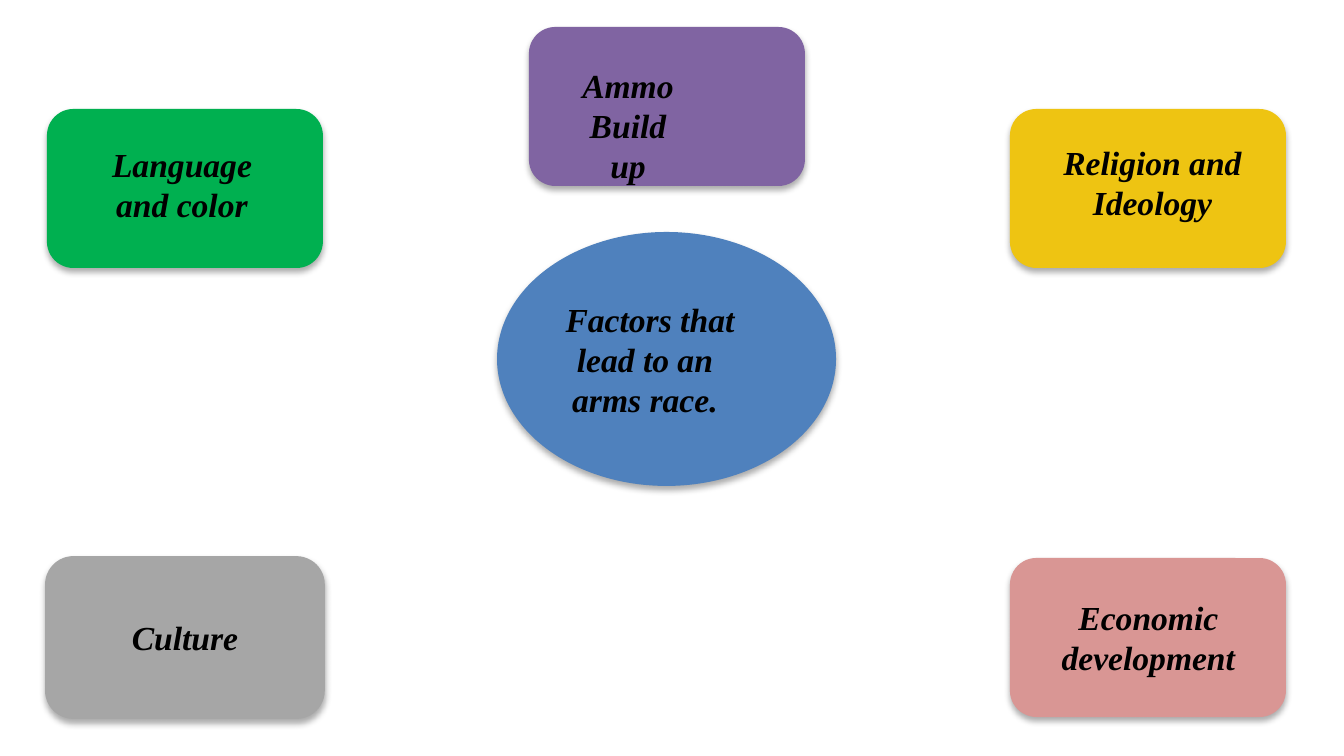
from lxml.etree import SubElement
from pptx import Presentation
from pptx.dml.color import RGBColor
from pptx.enum.shapes import MSO_SHAPE as Shape
from pptx.enum.text import MSO_AUTO_SIZE as AutoSize, PP_ALIGN as Align
from pptx.oxml.ns import qn
from pptx.util import Pt

PX = 914400 / 134.4  # EMU per px
SLIDE_SIZE = (1344, 756)
FONT = "Times New Roman"

# Grid of the surrounding factors
BOX_W, BOX_H = 276, 159
LEFT, MIDDLE, RIGHT = 47, 529, 1010
TOP, UPPER, LOWER = 27, 109, 558

# Shape, area, fill, outline, label area, label lines with right indent
FACTORS = [
    (Shape.OVAL, (497, 232, 339, 254), "4F81BD", None, (550, 292, 232, 136),
     [("Factors that", 32), ("lead to an", 42), ("arms race.", 0)]),
    (Shape.ROUNDED_RECTANGLE, (RIGHT, UPPER, BOX_W, BOX_H), "EEC412", None,
     (1047, 135, 211, 95), [("Religion and Ideology", 0)]),
    (Shape.ROUNDED_RECTANGLE, (MIDDLE, TOP, BOX_W, BOX_H), "8064A2", None,
     (558, 58, 216, 95), [("Ammo", 76), ("Build up", 0)]),
    (Shape.ROUNDED_RECTANGLE, (LEFT, UPPER, BOX_W, BOX_H), "00B050", None,
     (88, 137, 188, 95), [("Language and color", 0)]),
    (Shape.ROUNDED_RECTANGLE, (LEFT, LOWER, BOX_W, BOX_H), "A6A6A6", "A6A6A6",
     (84, 610, 202, 54), [("Culture", 0)]),
    (Shape.ROUNDED_RECTANGLE, (RIGHT, LOWER, BOX_W, BOX_H), "D99694", None,
     (1047, 590, 211, 95), [("Economic", 8), ("development", 0)]),
]


def emu(*lengths):
    return [round(length * PX) for length in lengths]


def color(value):
    return RGBColor.from_string(value)


def add_shadow(shape):
    shape.shadow.inherit = False
    effects = shape._element.spPr.find(qn("a:effectLst"))
    shadow = SubElement(effects, qn("a:outerShdw"), blurRad=str(Pt(3.5)),
                        dist=str(Pt(2.2)), dir="5400000", rotWithShape="0")
    black = SubElement(shadow, qn("a:srgbClr"), val="000000")
    SubElement(black, qn("a:alpha"), val="32000")


def add_factor(slide, kind, area, fill, outline):
    factor = slide.shapes.add_shape(kind, *emu(*area))
    factor.fill.solid()
    factor.fill.fore_color.rgb = color(fill)
    if outline:
        factor.line.color.rgb = color(outline)
        factor.line.width = Pt(2)
    else:
        factor.line.fill.background()
    add_shadow(factor)


def add_label(slide, area, lines):
    frame = slide.shapes.add_textbox(*emu(*area)).text_frame
    frame.word_wrap = True
    frame.auto_size = AutoSize.SHAPE_TO_FIT_TEXT
    for index, (line, indent) in enumerate(lines):
        paragraph = frame.add_paragraph() if index else frame.paragraphs[0]
        paragraph.text = line
        paragraph.alignment = Align.CENTER
        if indent:
            paragraph._p.get_or_add_pPr().set("marR", str(emu(indent)[0]))
        font = paragraph.font
        font.name, font.size = FONT, Pt(18)
        font.bold = font.italic = True
        font.color.rgb = color("000000")


def main():
    deck = Presentation()
    deck.slide_width, deck.slide_height = emu(*SLIDE_SIZE)
    slide = deck.slides.add_slide(deck.slide_layouts[6])
    for kind, area, fill, outline, label_area, lines in FACTORS:
        add_factor(slide, kind, area, fill, outline)
        add_label(slide, label_area, lines)
    deck.save("out.pptx")


if __name__ == "__main__":
    main()
